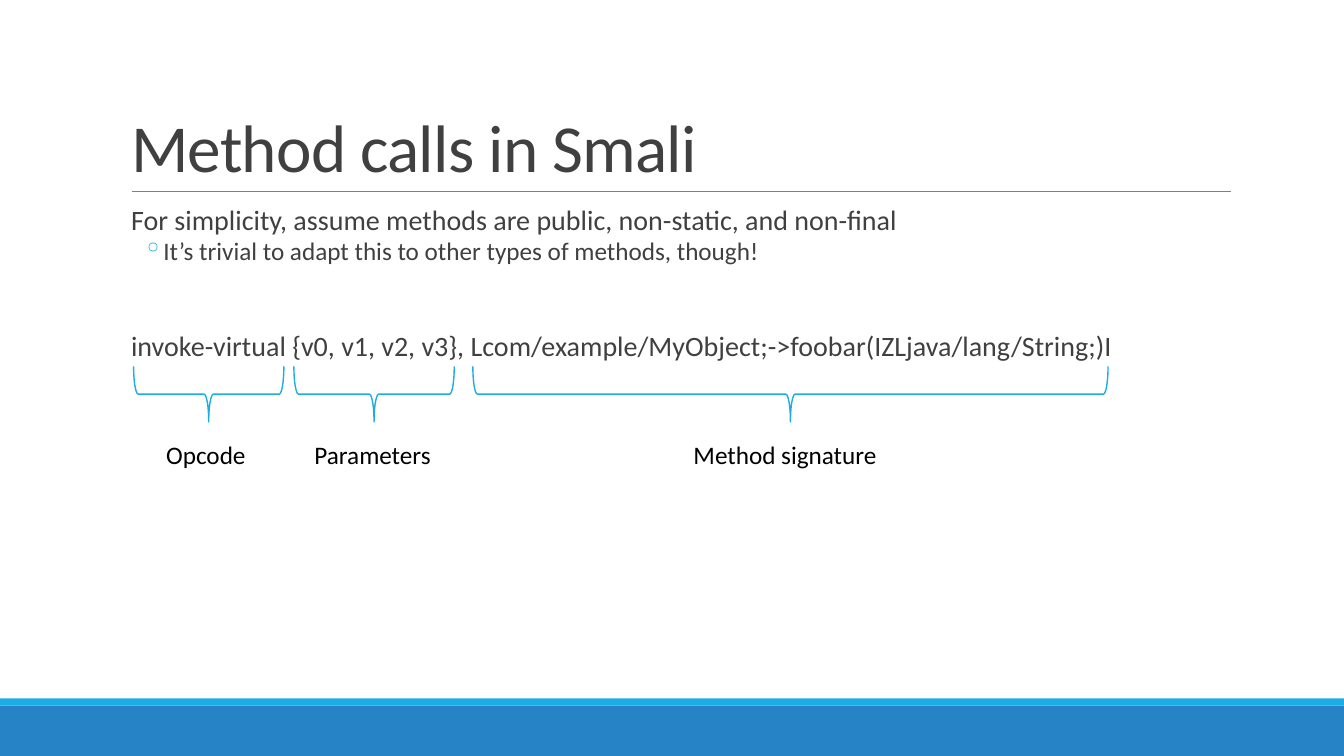
"""Build the slide on method calls in Smali."""
from pptx import Presentation
from pptx.dml.color import RGBColor
from pptx.enum import shapes, text
from pptx.oxml import parse_xml
from pptx.oxml.ns import nsdecls
from pptx.util import Inches, Pt

HUES = {"blue": "2683C6", "cyan": "1CADE4", "rule": "808080",
        "dark": "404040", "black": "000000"}


def hue(name):
    return RGBColor.from_string(HUES[name])


def write(para, words, size, color):
    run = para.add_run()
    run.text = words
    run.font.name = "Calibri"
    run.font.size = Pt(size)
    run.font.color.rgb = hue(color)
    return run


deck = Presentation()
deck.slide_width, deck.slide_height = Inches(13.33), Inches(7.5)
slide = deck.slides.add_slide(deck.slide_layouts[5])
items = slide.shapes

for top, height, color in [(7, 0.5, "blue"), (6.93, 0.07, "cyan")]:
    bar = items.add_shape(shapes.MSO_SHAPE.RECTANGLE, 0, Inches(top),
                          deck.slide_width, Inches(height))
    bar.shadow.inherit = False
    bar.fill.solid()
    bar.fill.fore_color.rgb = hue(color)
    bar.line.fill.background()

rule = items.add_connector(shapes.MSO_CONNECTOR.STRAIGHT, Inches(1.31),
                           Inches(1.9), Inches(12.21), Inches(1.9))
rule.line.color.rgb = hue("rule")
rule.line.width = Pt(0.5)
rule._element.spPr.append(parse_xml(f"<a:effectLst {nsdecls('a')}/>"))

title = items.title
title.left, title.top = Inches(1.2), Inches(0.31)
title.width, title.height = Inches(11), Inches(1.59)
frame = title.text_frame
frame.auto_size = text.MSO_AUTO_SIZE.NONE
frame.vertical_anchor = text.MSO_ANCHOR.BOTTOM
para = frame.paragraphs[0]
para.alignment = text.PP_ALIGN.LEFT
para.line_spacing = 0.85
run = write(para, "Method calls in Smali", 48, "dark")
run.font._element.set("spc", "-50")

body = items.add_textbox(Inches(1.2), Inches(2.02), Inches(11), Inches(1.72))
frame = body.text_frame
frame.word_wrap = True
frame.margin_left = frame.margin_right = 0
lines = [
    ("For simplicity, assume methods are public, non-static, and non-final",
     20, 12, 2, 0.1, 0),
    ("It’s trivial to adapt this to other types of methods, though!",
     18, 2, 4, 0.42, -0.2),
    ("invoke-virtual {v0, v1, v2, v3}, "
     "Lcom/example/MyObject;->foobar(IZLjava/lang/String;)I",
     20, 45.5, 2, 0.1, 0),
]
for i, (words, size, before, after, left, hang) in enumerate(lines):
    para = frame.add_paragraph() if i else frame.paragraphs[0]
    para.line_spacing = 0.8
    para.space_before, para.space_after = Pt(before), Pt(after)
    props = para._p.get_or_add_pPr()
    props.set("marL", str(Inches(left)))
    props.set("indent", str(Inches(hang)))
    if hang:
        para.level = 1
        props.append(parse_xml(f'<a:buClr {nsdecls("a")}><a:srgbClr '
                               f'val="{HUES["cyan"]}"/></a:buClr>'))
        props.append(parse_xml(f'<a:buChar {nsdecls("a")} char="◦"/>'))
    write(para, words, size, "dark")

thick, middle = 0.55, 3.91
parts = [("Opcode", 2.07, 1.49, 1.55, 1.04),
         ("Parameters", 3.71, 1.59, 3.02, 1.37),
         ("Method signature", 7.84, 6.3, 6.78, 2.04)]
for name, center, span, left, width in parts:
    brace = items.add_shape(shapes.MSO_SHAPE.LEFT_BRACE,
                            Inches(center - thick / 2),
                            Inches(middle - span / 2),
                            Inches(thick), Inches(span))
    brace.rotation = 270
    brace.shadow.inherit = False
    brace.fill.background()
    brace.line.color.rgb = hue("cyan")
    brace.line.width = Pt(1)
    label = items.add_textbox(Inches(left), Inches(4.31),
                              Inches(width), Inches(0.4))
    label.text_frame.word_wrap = False
    write(label.text_frame.paragraphs[0], name, 18, "black")

deck.save("out.pptx")
